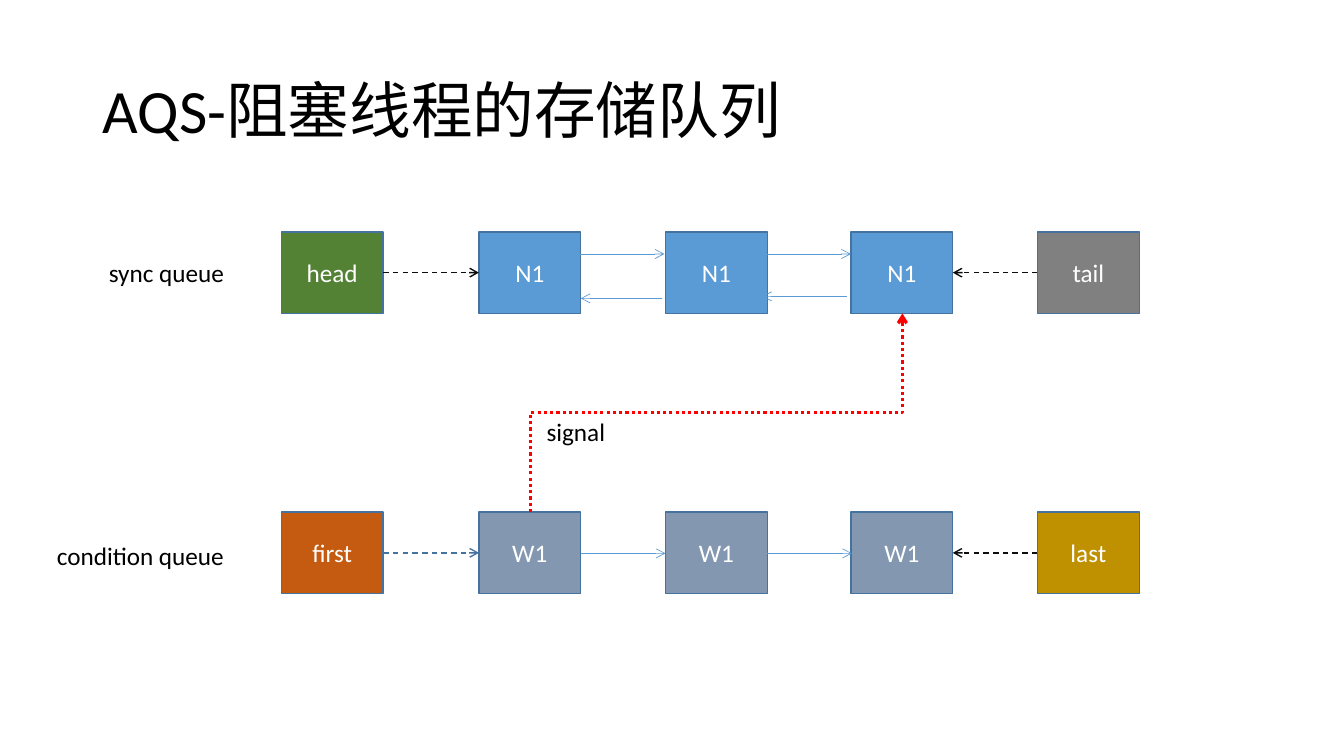
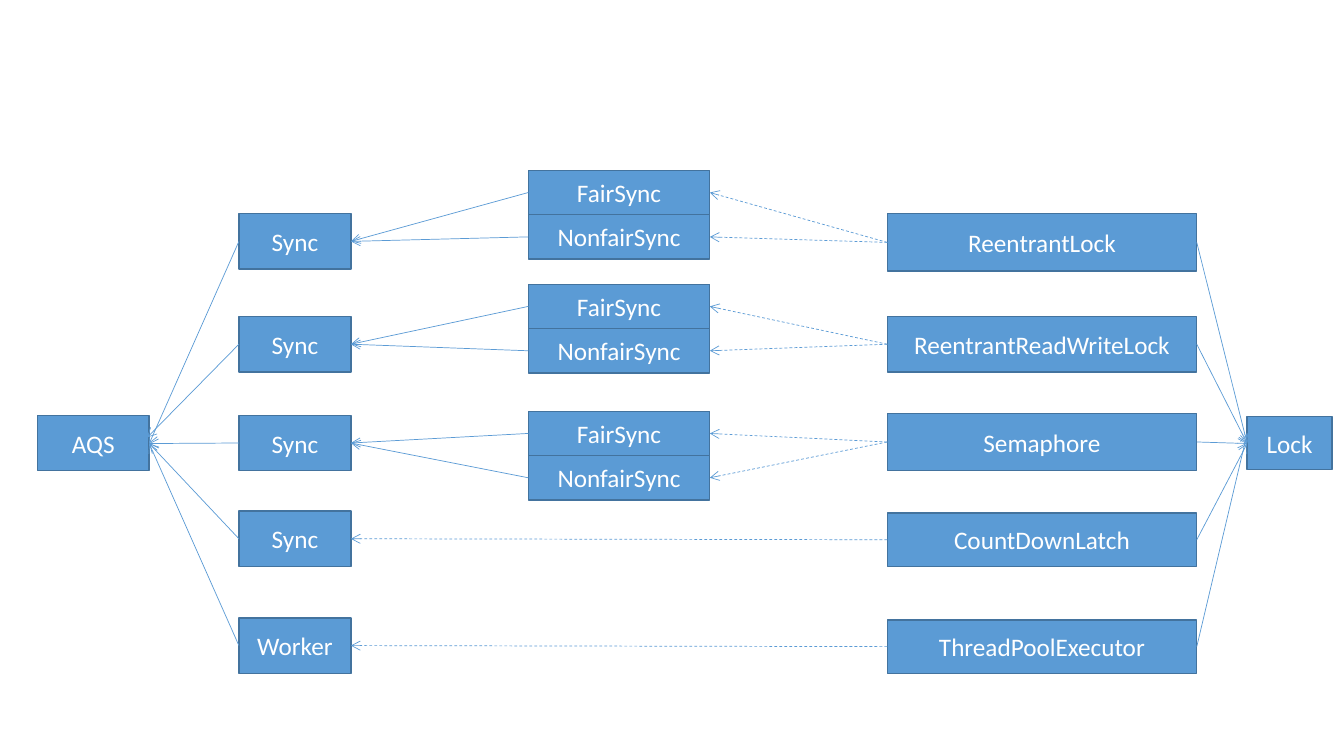
import pptx
import pptx.dml.color
import pptx.enum.dml
import pptx.enum.shapes
import pptx.enum.text
import pptx.oxml.ns
import pptx.util
from pptx.util import Inches

RGB = pptx.dml.color.RGBColor
BLUE = RGB(0x5B, 0x9B, 0xD5)
EDGE = RGB(0x43, 0x73, 0x9E)
GREEN = RGB(0x54, 0x82, 0x35)
GRAY = RGB(0x80, 0x80, 0x80)
ORANGE = RGB(0xC5, 0x5A, 0x11)
SLATE = RGB(0x84, 0x97, 0xB0)
GOLD = RGB(0xBF, 0x90, 0x00)
INK = RGB(0x0D, 0x0D, 0x0D)
BLACK = RGB(0, 0, 0)
WHITE = RGB(0xFF, 0xFF, 0xFF)
RED = RGB(0xFF, 0, 0)

DASH = pptx.enum.dml.MSO_LINE.DASH
DOT = pptx.enum.dml.MSO_LINE.ROUND_DOT
STRAIGHT = pptx.enum.shapes.MSO_CONNECTOR.STRAIGHT
ELBOW = pptx.enum.shapes.MSO_CONNECTOR.ELBOW
RECT = pptx.enum.shapes.MSO_SHAPE.RECTANGLE
ALIGN = pptx.enum.text.PP_ALIGN
MIDDLE = pptx.enum.text.MSO_ANCHOR.MIDDLE
AUTO = pptx.enum.text.MSO_AUTO_SIZE
BODY = {"name": "Calibri", "size": pptx.util.Pt(18)}
TITLE = {"name": "Calibri", "size": pptx.util.Pt(44)}


def box(s, text, x, y, w, h, fill=BLUE):
    sp = s.shapes.add_shape(RECT, Inches(x), Inches(y), Inches(w), Inches(h))
    sp.shadow.inherit = False
    sp.fill.solid()
    sp.fill.fore_color.rgb = fill
    sp.line.color.rgb = EDGE
    sp.line.width = pptx.util.Pt(1)
    sp.text_frame.vertical_anchor = MIDDLE
    p = sp.text_frame.paragraphs[0]
    p.alignment = ALIGN.CENTER
    r = p.add_run()
    r.text = text
    for key, value in BODY.items():
        setattr(r.font, key, value)
    r.font.color.rgb = WHITE


def arrow(s, x1, y1, x2, y2, color=BLUE, width=0.5, dash=None, kind=STRAIGHT):
    c = s.shapes.add_connector(kind, Inches(x1), Inches(y1), Inches(x2), Inches(y2))
    c.line.color.rgb = color
    c.line.width = pptx.util.Pt(width)
    if dash:
        c.line.dash_style = dash
    qn = pptx.oxml.ns.qn
    spPr = c._element.spPr
    ln = spPr.find(qn("a:ln"))
    ln.append(ln.makeelement(qn("a:tailEnd"), {"type": "arrow"}))
    spPr.append(spPr.makeelement(qn("a:effectLst"), {}))
    return c


prs = pptx.Presentation()
prs.slide_width, prs.slide_height = Inches(13.33), Inches(7.5)

s = prs.slides.add_slide(prs.slide_layouts[5])
sp = s.shapes.title
sp.left, sp.top, sp.width, sp.height = [Inches(v) for v in (0.92, 0.4, 11.5, 1.45)]
tf = sp.text_frame
tf.auto_size = AUTO.NONE
tf.vertical_anchor = MIDDLE
p = tf.paragraphs[0]
p.alignment = ALIGN.LEFT
p.line_spacing = 0.9
r = p.add_run()
r.text = "AQS-阻塞线程的存储队列"
for key, value in TITLE.items():
    setattr(r.font, key, value)
r.font.color.rgb = BLACK

columns = [2.79, 4.75, 6.6, 8.44, 10.29]
node_w, node_h = 1.01, 0.81
queues = [
    (2.3, ["head", "N1", "N1", "N1", "tail"], [GREEN, BLUE, BLUE, BLUE, GRAY], INK),
    (5.08, ["first", "W1", "W1", "W1", "last"], [ORANGE, SLATE, SLATE, SLATE, GOLD], EDGE),
]
for y, names, fills, head_color in queues:
    for x, name, fill in zip(columns, names, fills):
        box(s, name, x, y, node_w, node_h, fill)
    mid = y + node_h / 2
    arrow(s, columns[0] + node_w, mid, columns[1], mid, head_color, 1, DASH)
    arrow(s, columns[4], mid, columns[3] + node_w, mid, INK, 1, DASH)

for x1, y1, x2 in [
    (5.64, 2.52, 6.59), (7.49, 2.52, 8.44), (8.4, 2.94, 7.56), (6.57, 2.96, 5.76),
    (5.76, 5.49, 6.6), (7.61, 5.49, 8.45),
]:
    arrow(s, x1, y1, x2, y1)

for text, x, y, w in [
    ("sync queue", 0.83, 2.5, 1.49),
    ("condition queue", 0.32, 5.31, 2),
    ("signal", 5.25, 4.08, 0.85),
]:
    sp = s.shapes.add_textbox(Inches(x), Inches(y), Inches(w), Inches(0.4))
    tf = sp.text_frame
    tf.word_wrap = False
    tf.auto_size = AUTO.SHAPE_TO_FIT_TEXT
    p = tf.paragraphs[0]
    p.alignment = ALIGN.RIGHT
    r = p.add_run()
    r.text = text
    for key, value in BODY.items():
        setattr(r.font, key, value)
    r.font.color.rgb = BLACK

signal = arrow(s, 6.12, 2.25, 8.09, 5.94, RED, 2.25, DOT, ELBOW)
signal._element.spPr.xfrm.set("rot", "16200000")

s = prs.slides.add_slide(prs.slide_layouts[6])
sync_x, sync_w, sync_h = 2.37, 1.11, 0.55
pair_x, pair_w, pair_h = 5.24, 1.8, 0.44
lock_x, lock_w = 8.8, 3.07
box(s, "AQS", 0.37, 4.12, sync_w, sync_h)
box(s, "Lock", 12.37, 4.13, 0.84, 0.53)

rows = [
    ("Sync", 2.12, "ReentrantLock", 2.12, 0.57, 1.69, (1.48, 4.4), 4.4),
    ("Sync", 3.14, "ReentrantReadWriteLock", 3.14, 0.55, 2.82, (1.46, 4.34), 4.4),
    ("Sync", 4.12, "Semaphore", 4.1, 0.57, 4.08, (1.48, 4.4), 4.4),
    ("Sync", 5.07, "CountDownLatch", 5.09, 0.53, None, (1.48, 4.4), 4.4),
    ("Worker", 6.13, "ThreadPoolExecutor", 6.15, 0.53, None, (1.48, 4.4), 4.3),
]
for sync, sync_y, lock, lock_y, lock_h, pair_y, aqs_end, lock_end in rows:
    box(s, sync, sync_x, sync_y, sync_w, sync_h)
    box(s, lock, lock_x, lock_y, lock_w, lock_h)
    sync_mid = sync_y + sync_h / 2
    lock_mid = lock_y + lock_h / 2
    arrow(s, sync_x, sync_mid, *aqs_end)
    arrow(s, lock_x + lock_w, lock_mid, 12.37, lock_end)
    if pair_y is None:
        arrow(s, lock_x, lock_mid, sync_x + sync_w, sync_mid, dash=DASH)
        continue
    for i, name in enumerate(["FairSync", "NonfairSync"]):
        y = pair_y + i * pair_h
        mid = y + pair_h / 2
        box(s, name, pair_x, y, pair_w, pair_h)
        arrow(s, pair_x, mid, sync_x + sync_w, sync_mid)
        arrow(s, lock_x, lock_mid, pair_x + pair_w, mid, dash=DASH)

prs.save("out.pptx")
